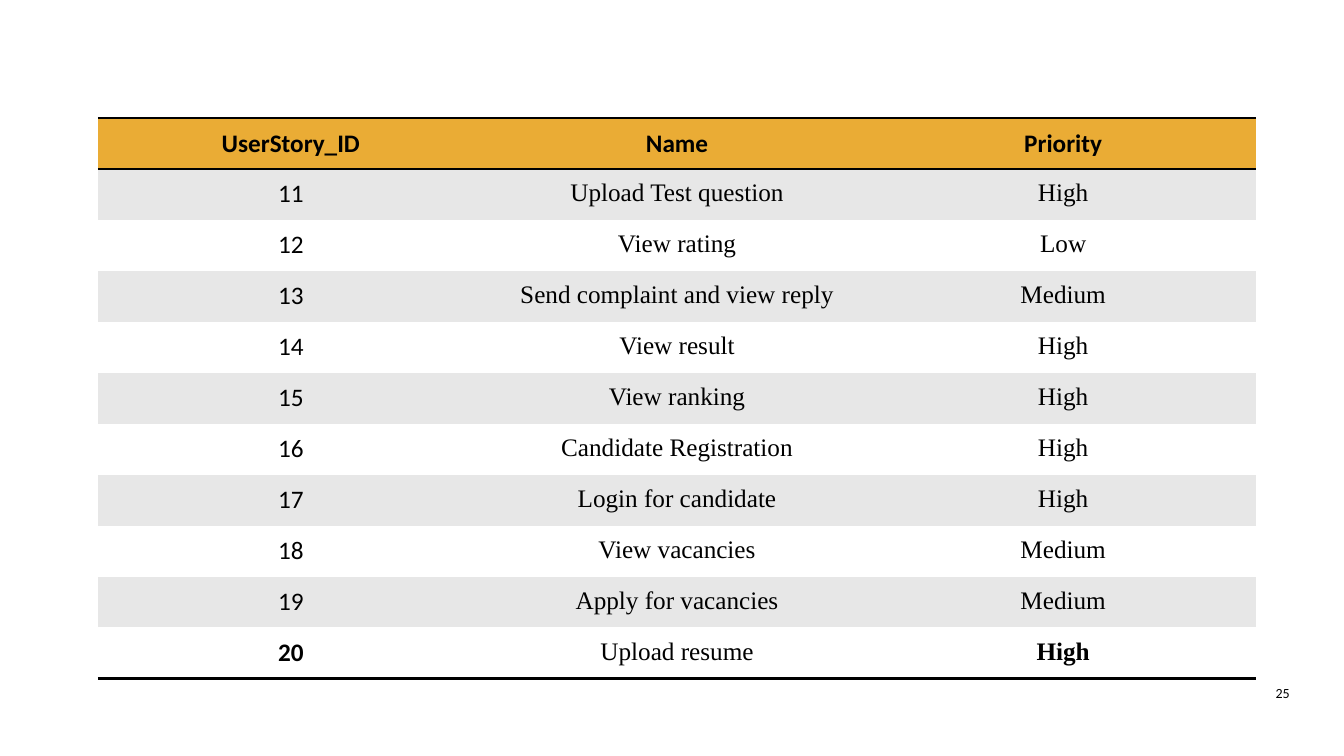
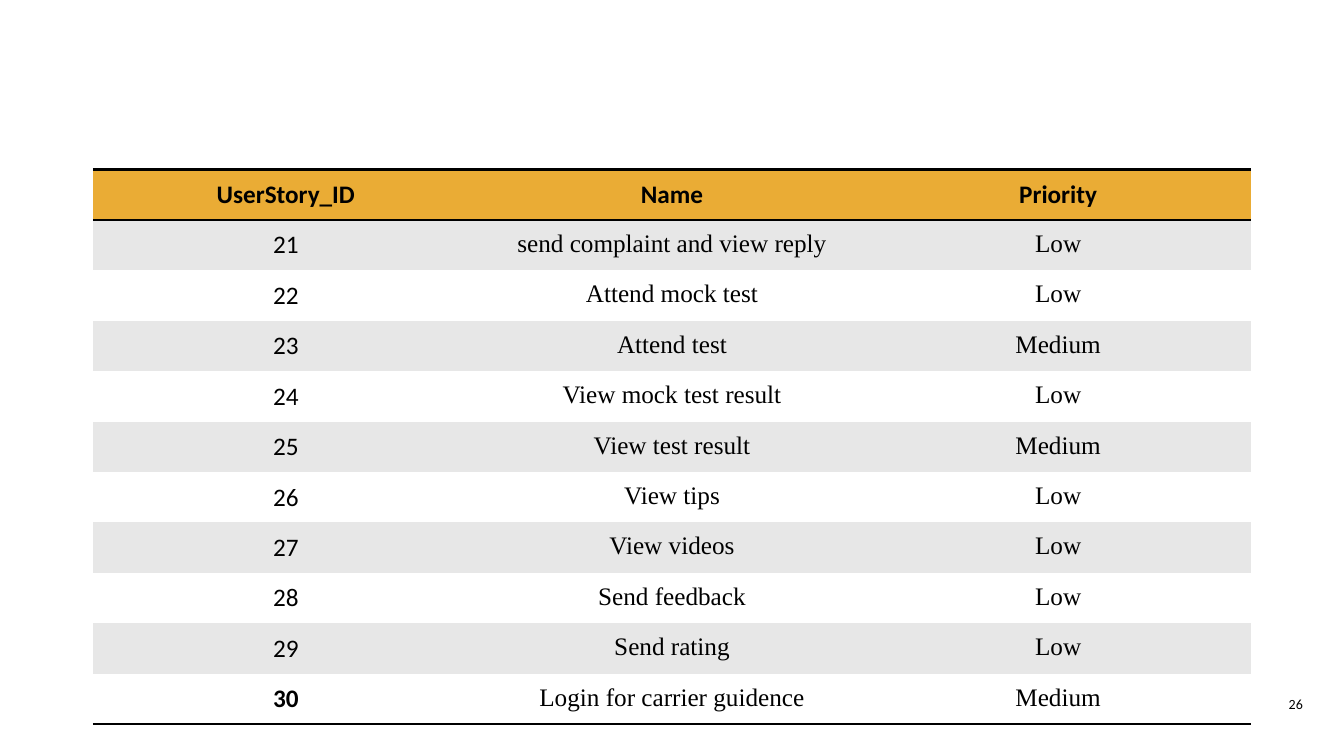
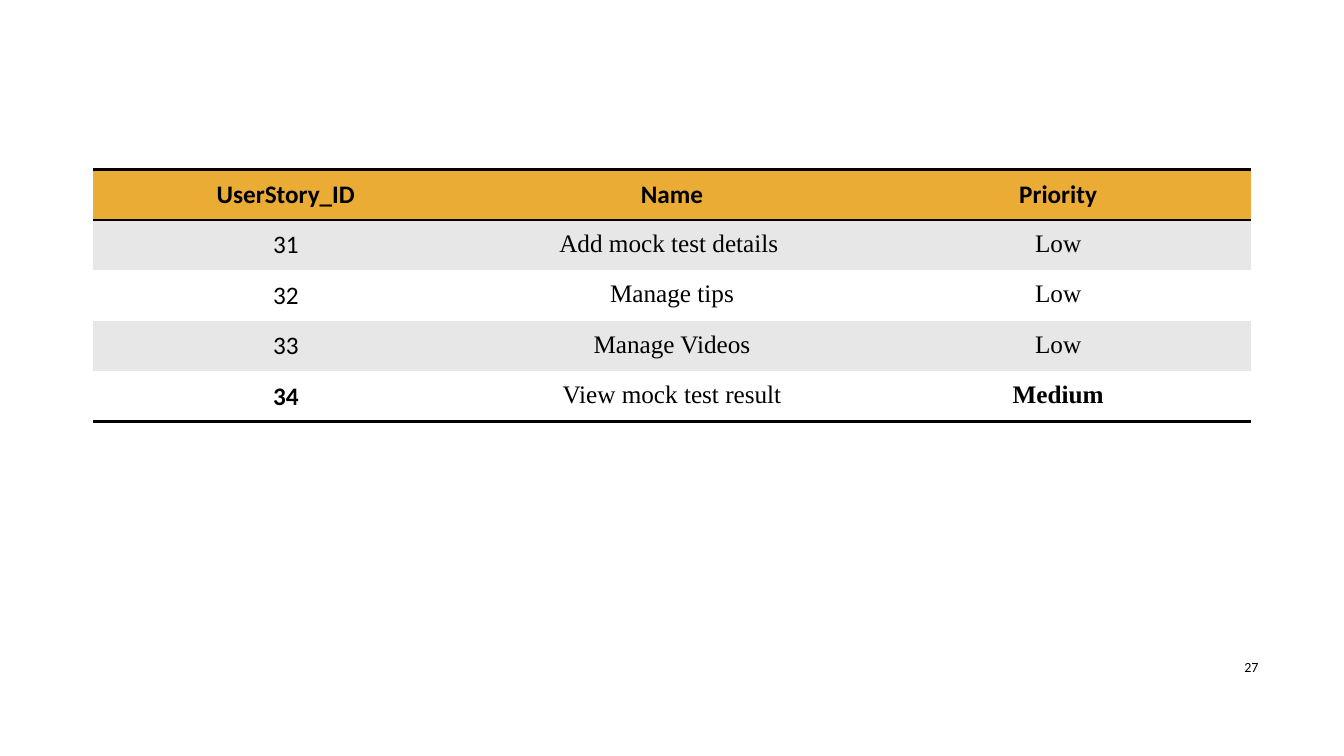
from lxml import etree
from pptx import Presentation
from pptx import util as u
from pptx.dml import color
from pptx.enum import text
from pptx.oxml import ns

PX = 9144  # EMU in one px, 100 px to the inch
COLORS = {"ink": "000000", "header": "EAAC35", "band": "E7E7E7", "plain": "FFFFFF"}
SANS, SERIF = "Calibri", "Times New Roman"
NO_STYLE = "{2D5ABB26-0587-4C30-8999-92F81FD0307C}"
HEADINGS = ("UserStory_ID", "Name", "Priority")
COLUMN_WIDTH, ROW_HEIGHT, CELL_MARGIN = 383, 50, 10
NUMBER_WIDTH, NUMBER_HEIGHT = 60, 40

# Each page: table corner, number corner, first story, bold final priority, stories
PAGES = [
    {"table": (97, 117), "number": (1229, 667), "first": 11, "bold_end": True,
     "stories": [
         ("Upload Test question", "High"),
         ("View rating", "Low"),
         ("Send complaint and view reply", "Medium"),
         ("View result", "High"),
         ("View ranking", "High"),
         ("Candidate Registration", "High"),
         ("Login for candidate", "High"),
         ("View vacancies", "Medium"),
         ("Apply for vacancies", "Medium"),
         ("Upload resume", "High")]},
    {"table": (92, 168), "number": (1242, 678), "first": 21, "bold_end": False,
     "stories": [
         ("send complaint and view reply", "Low"),
         ("Attend mock test", "Low"),
         ("Attend test", "Medium"),
         ("View mock test result", "Low"),
         ("View test result", "Medium"),
         ("View tips", "Low"),
         ("View videos", "Low"),
         ("Send feedback", "Low"),
         ("Send rating", "Low"),
         ("Login for carrier guidence", "Medium")]},
    {"table": (92, 168), "number": (1198, 642), "first": 31, "bold_end": True,
     "stories": [
         ("Add mock test details ", "Low"),
         ("Manage tips", "Low"),
         ("Manage Videos", "Low"),
         ("View mock test result", "Medium")]},
]


def px(*lengths):
    return [u.Emu(length * PX) for length in lengths]


def write(frame, words, size, font, align, bold=False):
    para = frame.paragraphs[0]
    para.text = words
    para.alignment = align
    para.font.size = u.Pt(size)
    para.font.name = font
    para.font.bold = bold
    para.font.color.rgb = color.RGBColor.from_string(COLORS["ink"])


def add_rule(cell, side):
    """Draw a 2 pt line on one side of a cell; call before filling it."""
    props = cell._tc.get_or_add_tcPr()
    line = etree.SubElement(props, ns.qn("a:" + side), w=str(u.Pt(2)))
    fill = etree.SubElement(line, ns.qn("a:solidFill"))
    etree.SubElement(fill, ns.qn("a:srgbClr"), val=COLORS["ink"])


def format_cell(cell, words, fill, font, bold, rules):
    for side in rules:
        add_rule(cell, side)
    cell.fill.solid()
    cell.fill.fore_color.rgb = color.RGBColor.from_string(COLORS[fill])
    margin, = px(CELL_MARGIN)
    cell.margin_left = cell.margin_right = margin
    cell.margin_top = cell.margin_bottom = margin
    write(cell.text_frame, words, 18, font, text.PP_ALIGN.CENTER, bold)


def add_story_table(page, left, top, first, stories, bold_end):
    rows = [HEADINGS] + [(str(first + i), *story) for i, story in enumerate(stories)]
    last = len(rows) - 1
    frame = page.shapes.add_table(
        len(rows), len(HEADINGS),
        *px(left, top, COLUMN_WIDTH * len(HEADINGS), ROW_HEIGHT * len(rows)))
    table = frame.table
    table._tbl.tblPr.find(ns.qn("a:tableStyleId")).text = NO_STYLE

    for r, row in enumerate(rows):
        fill = "header" if r == 0 else "band" if r % 2 else "plain"
        rules = ("lnT", "lnB") if r == 0 else ("lnB",) if r == last else ()
        for c, words in enumerate(row):
            font = SANS if r == 0 or c == 0 else SERIF
            bold = r == 0 or (r == last and (c == 0 or (c == 2 and bold_end)))
            format_cell(table.cell(r, c), words, fill, font, bold, rules)


def add_page_number(page, left, top, number):
    box = page.shapes.add_textbox(*px(left, top, NUMBER_WIDTH, NUMBER_HEIGHT))
    box.text_frame.word_wrap = True
    box.text_frame.vertical_anchor = text.MSO_ANCHOR.MIDDLE
    write(box.text_frame, str(number), 10, SANS, text.PP_ALIGN.RIGHT)


def main():
    deck = Presentation()
    deck.slide_width, deck.slide_height = px(1333, 750)
    blank = deck.slide_layouts[6]
    for number, content in enumerate(PAGES, start=25):
        page = deck.slides.add_slide(blank)
        add_story_table(page, *content["table"], content["first"],
                        content["stories"], content["bold_end"])
        add_page_number(page, *content["number"], number)
    deck.save("out.pptx")


if __name__ == "__main__":
    main()
